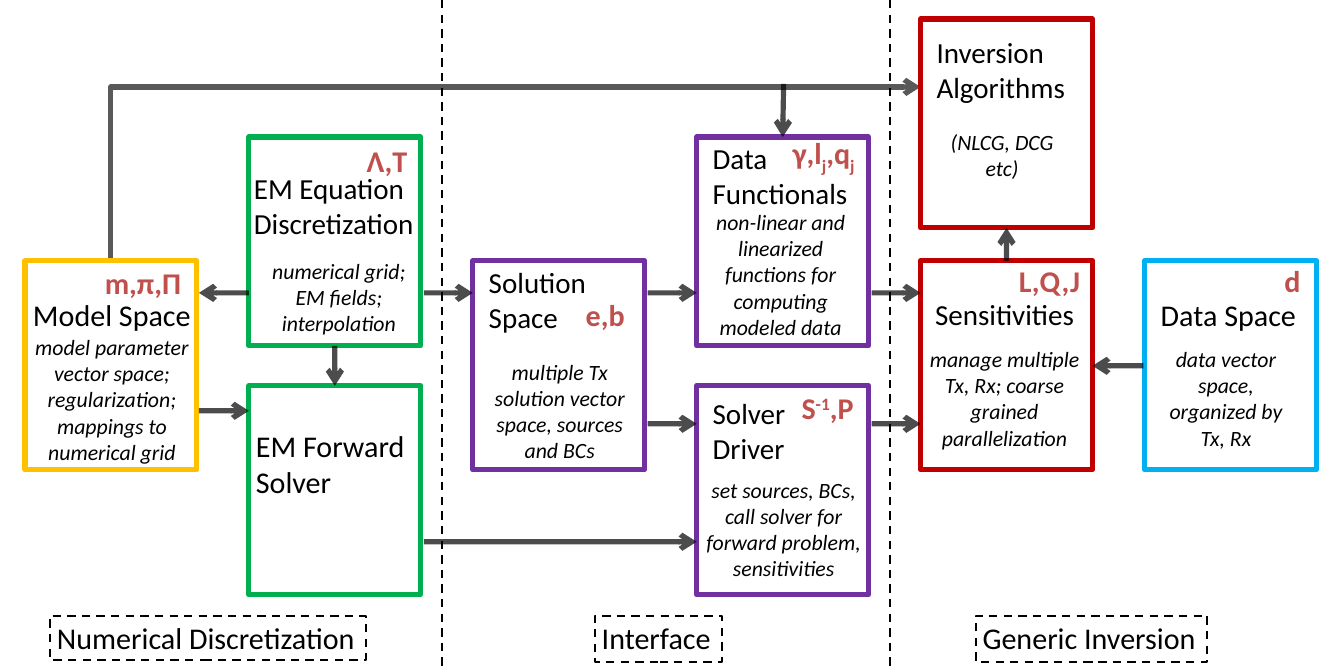
from dataclasses import dataclass
from typing import NamedTuple

from lxml import etree
from pptx import Presentation
from pptx import util as u
from pptx.dml.color import RGBColor
from pptx.enum import dml, shapes, text
from pptx.oxml import ns

SCALE = 914400 / 74.7  # EMU per pixel

BLACK = RGBColor(0x00, 0x00, 0x00)
GREY = RGBColor(0x59, 0x59, 0x59)
BRICK = RGBColor(0xC0, 0x50, 0x4D)
YELLOW = RGBColor(0xFF, 0xC0, 0x00)
GREEN = RGBColor(0x00, 0xB0, 0x50)
PURPLE = RGBColor(0x70, 0x30, 0xA0)
RED = RGBColor(0xC0, 0x00, 0x00)
BLUE = RGBColor(0x00, 0xB0, 0xF0)

LEFT, CENTER, JUSTIFY = (text.PP_ALIGN.LEFT, text.PP_ALIGN.CENTER,
                         text.PP_ALIGN.JUSTIFY)
BOX_W, BOX_H = 172, 209
COL_X, COL_STEP = 25, 224
BASELINES = {"^": "30000", "_": "-25000"}


class Style(NamedTuple):
    size: int
    color: RGBColor = BLACK
    bold: bool = False
    italic: bool = False


TITLE, TITLE_SMALL = Style(29), Style(28)
NOTE = Style(21, italic=True)
SYMBOL = Style(29, BRICK, bold=True)


class Box(NamedTuple):
    col: int
    top: int
    color: RGBColor


@dataclass
class Label:
    words: str  # "|" splits runs; a leading ^ or _ raises or lowers a run
    x: int
    y: int
    w: int
    h: int
    style: Style
    align: text.PP_ALIGN = CENTER
    inset: int = 9
    framed: bool = False


class Arrow(NamedTuple):
    x1: int
    y1: int
    x2: int
    y2: int


BOXES = [
    Box(0, 261, YELLOW), Box(1, 137, GREEN), Box(1, 386, GREEN),
    Box(2, 261, PURPLE), Box(3, 137, PURPLE), Box(3, 386, PURPLE),
    Box(4, 19, RED), Box(4, 261, RED), Box(5, 261, BLUE),
]

LABELS = [
    # Numerical discretization
    Label("Model Space", 25, 293, 174, 44, TITLE, inset=7),
    Label("model parameter vector space; regularization; mappings to "
          "numerical grid", 25, 330, 174, 140, NOTE, inset=7),
    Label("m,π,Π ", 97, 261, 99, 43, SYMBOL, inset=7),
    Label("EM Equation Discretization", 247, 167, 181, 77, TITLE_SMALL, LEFT, 7),
    Label("numerical grid; EM fields; interpolation", 255, 254, 168, 87, NOTE,
          inset=7),
    Label("Λ,T ", 355, 139, 71, 43, SYMBOL, inset=7),
    Label("EM Forward Solver", 249, 424, 168, 81, TITLE, LEFT, 7),
    # Interface
    Label("Solution Space", 480, 261, 120, 79, TITLE_SMALL, LEFT),
    Label("multiple Tx solution vector space, sources and BCs",
          473, 355, 174, 115, NOTE),
    Label("e,b", 573, 293, 65, 45, SYMBOL),
    Label("Data Functionals", 704, 137, 162, 79, TITLE_SMALL, LEFT),
    Label("non-linear and linearized functions for computing modeled data",
          697, 205, 168, 141, NOTE),
    Label("γ,l|_j|,q|_j", 784, 131, 87, 45, SYMBOL, JUSTIFY),
    Label("Solver Driver", 704, 392, 125, 79, TITLE_SMALL, LEFT),
    Label("set sources, BCs, call solver for forward problem, sensitivities",
          697, 473, 174, 113, NOTE, inset=7),
    Label("S|^-1|,P", 790, 386, 76, 45, SYMBOL),
    # Generic inversion
    Label("Inversion Algorithms", 928, 31, 168, 79, TITLE_SMALL, LEFT),
    Label("(NLCG, DCG etc)", 928, 125, 149, 62, NOTE),
    Label("Sensitivities", 921, 293, 168, 44, TITLE_SMALL),
    Label("manage multiple Tx, Rx; coarse grained parallelization",
          921, 342, 168, 115, NOTE),
    Label("L,Q,J", 1008, 259, 84, 45, SYMBOL),
    Label("Data Space", 1145, 293, 168, 45, TITLE),
    Label("data vector space, organized by Tx, Rx", 1152, 342, 149, 115, NOTE),
    Label("d", 1276, 259, 25, 45, SYMBOL),
    # Section captions
    Label("Numerical Discretization", 50, 616, 316, 44, TITLE, LEFT, 7, True),
    Label("Interface", 595, 616, 127, 46, TITLE, LEFT, 7, True),
    Label("Generic Inversion", 976, 616, 232, 46, TITLE, LEFT, 7, True),
]

ARROWS = [
    Arrow(335, 346, 335, 386), Arrow(249, 293, 199, 293),
    Arrow(199, 411, 249, 411), Arrow(424, 293, 473, 293),
    Arrow(424, 542, 697, 542), Arrow(648, 293, 697, 293),
    Arrow(648, 424, 697, 424), Arrow(784, 84, 783, 137),
    Arrow(872, 293, 921, 293), Arrow(872, 424, 921, 424),
    Arrow(1007, 261, 1007, 228), Arrow(1144, 366, 1093, 366),
]
DIVIDERS = [442, 890]


def px(n: float) -> u.Emu:
    return u.Emu(round(n * SCALE))


def set_line(line, color: RGBColor, width: int, dashed: bool = False) -> None:
    line.color.rgb = color
    line.width = u.Pt(width)
    if dashed:
        line.dash_style = dml.MSO_LINE.DASH


def draw_box(s, box: Box) -> None:
    sp = s.shapes.add_shape(shapes.MSO_SHAPE.RECTANGLE,
                            px(COL_X + COL_STEP * box.col), px(box.top),
                            px(BOX_W), px(BOX_H))
    sp.shadow.inherit = False
    sp.fill.background()
    set_line(sp.line, box.color, 5)


def draw_label(s, label: Label) -> None:
    sp = s.shapes.add_textbox(px(label.x), px(label.y), px(label.w), px(label.h))
    tf = sp.text_frame
    tf.word_wrap = not label.framed
    tf.auto_size = text.MSO_AUTO_SIZE.SHAPE_TO_FIT_TEXT
    tf.margin_left = tf.margin_right = px(label.inset)
    tf.margin_top = tf.margin_bottom = px(4)
    if label.framed:
        set_line(sp.line, BLACK, 2, dashed=True)
    p = tf.paragraphs[0]
    p.alignment = label.align
    for part in label.words.split("|"):
        r = p.add_run()
        r.text = part.lstrip("^_")
        r.font.name = "Calibri"
        r.font.size = u.Pt(label.style.size)
        r.font.color.rgb = label.style.color
        r.font.bold = label.style.bold
        r.font.italic = label.style.italic
        if part[0] in BASELINES:
            r.font._element.set("baseline", BASELINES[part[0]])


def draw_line(s, path_ends: Arrow, color: RGBColor, width: int,
              dashed: bool = False, arrow_end: str = "",
              kind=shapes.MSO_CONNECTOR.STRAIGHT):
    sp = s.shapes.add_connector(kind, *map(px, path_ends))
    set_line(sp.line, color, width, dashed)
    if arrow_end:
        etree.SubElement(sp.line._get_or_add_ln(), ns.qn(f"a:{arrow_end}"),
                         type="arrow")
    etree.SubElement(sp._element.spPr, ns.qn("a:effectLst"))
    return sp


def draw_arrow(s, arrow: Arrow) -> None:
    sp = draw_line(s, arrow, BLACK, 5, arrow_end="tailEnd")
    color = sp._element.spPr.find(".//" + ns.qn("a:srgbClr"))
    etree.SubElement(color, ns.qn("a:alpha"), val="70000")


prs = Presentation()
prs.slide_width, prs.slide_height = u.Inches(18), u.Inches(9)
s = prs.slides.add_slide(prs.slide_layouts[6])

# Route from model space to inversion algorithms, with a single corner
route = draw_line(s, Arrow(921, 87, 111, 261), GREY, 5, arrow_end="headEnd",
                  kind=shapes.MSO_CONNECTOR.ELBOW)
route._element.spPr.find(ns.qn("a:prstGeom")).set("prst", "bentConnector2")

# Boxes, arrows, section dividers and text
for box in BOXES:
    draw_box(s, box)
for arrow in ARROWS:
    draw_arrow(s, arrow)
for x in DIVIDERS:
    draw_line(s, Arrow(x, 0, x, 672), BLACK, 2, dashed=True)
for label in LABELS:
    draw_label(s, label)

prs.save("out.pptx")
